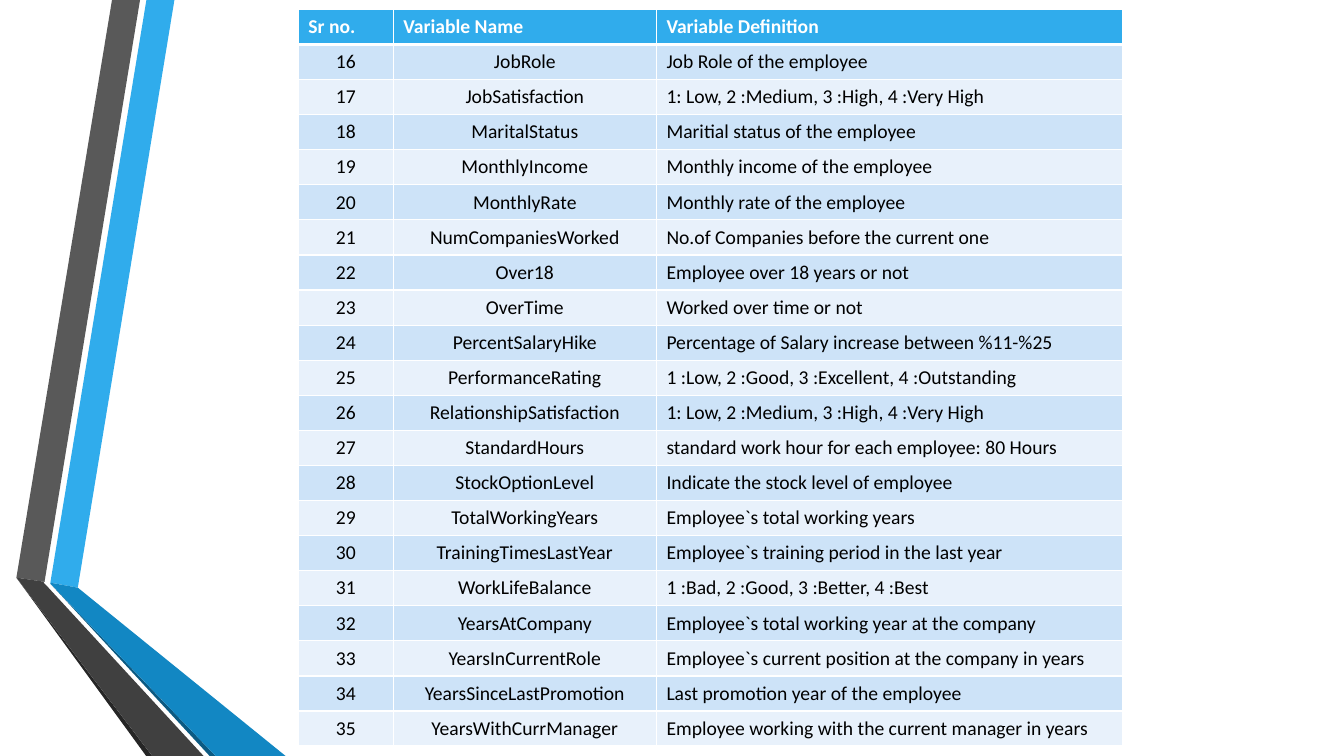
from dataclasses import dataclass

from lxml.etree import SubElement
from pptx import Presentation
from pptx.dml.color import RGBColor as Color
from pptx.enum.text import MSO_ANCHOR as Anchor, PP_ALIGN as Align
from pptx.oxml.ns import qn
from pptx.slide import Slide
from pptx.table import _Cell as Cell
from pptx.util import Pt


@dataclass(frozen=True)
class Theme:
    font: str = "Calibri"
    text_size: float = 14
    white: str = "FFFFFF"
    black: str = "000000"
    sky: str = "30ACEC"
    blue: str = "1287C3"
    navy: str = "0C5A82"
    grey: str = "595959"
    charcoal: str = "404040"
    coal: str = "262626"
    bands: tuple[str, str] = ("CDE3F8", "E8F1FB")
    rule: float = 1
    header_rule: float = 3


@dataclass(frozen=True)
class Ribbon:
    color: str
    points: tuple[tuple[float, float], ...]


@dataclass(frozen=True)
class Variable:
    name: str
    definition: str


@dataclass(frozen=True)
class CellStyle:
    fill: str
    color: str
    bold: bool
    align: Align
    anchor: Anchor
    top_rule: float
    bottom_rule: float


THEME = Theme()
PAGE_WIDTH, PAGE_HEIGHT = 960, 540
TABLE_LEFT, TABLE_TOP, TABLE_HEIGHT = 213.1, 6.7, 526.4
COLUMN_WIDTHS = (67.8, 188, 332.8)
HEADERS = ("Sr no.", "Variable Name", "Variable Definition")
FIRST_NUMBER = 16
RATING = "1: Low, 2 :Medium, 3 :High, 4 :Very High"

RIBBONS = (
    Ribbon(THEME.sky, ((36, 416.2), (55.6, 419.8), (124.6, 0), (104.6, 0))),
    Ribbon(THEME.grey, ((100, 0), (80, 0), (11.7, 412.6), (31.8, 415.6))),
    Ribbon(THEME.coal, ((11.7, 412.6), (104.4, PAGE_HEIGHT), (108.7, PAGE_HEIGHT))),
    Ribbon(THEME.navy, ((36, 416.9), (149.8, PAGE_HEIGHT), (154.1, PAGE_HEIGHT))),
    Ribbon(THEME.blue, ((36, 416.9), (154.1, PAGE_HEIGHT), (204, PAGE_HEIGHT),
                        (55.6, 419.8), (36, 416.2))),
    Ribbon(THEME.charcoal, ((145.4, PAGE_HEIGHT), (34.6, 419.8), (31, 416.2),
                            (31.8, 415.6), (11.7, 412.6), (108.7, PAGE_HEIGHT))),
)

VARIABLES = (
    Variable("JobRole", "Job Role of the employee"),
    Variable("JobSatisfaction", RATING),
    Variable("MaritalStatus", "Maritial status of the employee"),
    Variable("MonthlyIncome", "Monthly income of the employee"),
    Variable("MonthlyRate", "Monthly rate of the employee"),
    Variable("NumCompaniesWorked", "No.of Companies before the current one"),
    Variable("Over18", "Employee over 18 years or not"),
    Variable("OverTime", "Worked over time or not"),
    Variable("PercentSalaryHike", "Percentage of Salary increase between %11-%25"),
    Variable("PerformanceRating", "1 :Low, 2 :Good, 3 :Excellent, 4 :Outstanding"),
    Variable("RelationshipSatisfaction", RATING),
    Variable("StandardHours", "standard work hour for each employee: 80 Hours"),
    Variable("StockOptionLevel", "Indicate the stock level of employee"),
    Variable("TotalWorkingYears", "Employee`s total working years"),
    Variable("TrainingTimesLastYear", "Employee`s training period in the last year"),
    Variable("WorkLifeBalance", "1 :Bad, 2 :Good, 3 :Better, 4 :Best"),
    Variable("YearsAtCompany", "Employee`s total working year at the company"),
    Variable("YearsInCurrentRole", "Employee`s current position at the company in years"),
    Variable("YearsSinceLastPromotion", "Last promotion year of the employee"),
    Variable("YearsWithCurrManager", "Employee working with the current manager in years"),
)


def draw_ribbon(page: Slide, ribbon: Ribbon) -> None:
    start, *others = [(Pt(x), Pt(y)) for x, y in ribbon.points]
    builder = page.shapes.build_freeform(*start, scale=1.0)
    builder.add_line_segments(others, close=True)
    shape = builder.convert_to_shape()
    shape.shadow.inherit = False
    shape.fill.solid()
    shape.fill.fore_color.rgb = Color.from_string(ribbon.color)
    shape.line.fill.background()


def add_borders(cell: Cell, top: float, bottom: float) -> None:
    properties = cell._tc.get_or_add_tcPr()
    widths = {"a:lnL": THEME.rule, "a:lnR": THEME.rule, "a:lnT": top, "a:lnB": bottom}
    for tag, width in widths.items():
        line = SubElement(properties, qn(tag), w=str(Pt(width)))
        fill = SubElement(line, qn("a:solidFill"))
        SubElement(fill, qn("a:srgbClr"), val=THEME.white)


def write_cell(cell: Cell, text: str, style: CellStyle) -> None:
    add_borders(cell, style.top_rule, style.bottom_rule)
    cell.fill.solid()
    cell.fill.fore_color.rgb = Color.from_string(style.fill)
    cell.vertical_anchor = style.anchor
    para = cell.text_frame.paragraphs[0]
    para.alignment = style.align
    span = para.add_run()
    span.text = text
    span.font.name = THEME.font
    span.font.size = Pt(THEME.text_size)
    span.font.bold = style.bold
    span.font.color.rgb = Color.from_string(style.color)


def cell_style(row: int, column: int) -> CellStyle:
    if row == 0:
        return CellStyle(THEME.sky, THEME.white, True, Align.LEFT, Anchor.TOP,
                         THEME.rule, THEME.header_rule)
    return CellStyle(THEME.bands[(row - 1) % 2], THEME.black, False,
                     Align.LEFT if column == 2 else Align.CENTER, Anchor.MIDDLE,
                     THEME.header_rule if row == 1 else THEME.rule, THEME.rule)


def draw_variables(page: Slide) -> None:
    rows = [HEADERS] + [(str(number), variable.name, variable.definition)
                        for number, variable in enumerate(VARIABLES, FIRST_NUMBER)]
    table = page.shapes.add_table(
        len(rows), len(HEADERS), Pt(TABLE_LEFT), Pt(TABLE_TOP),
        Pt(sum(COLUMN_WIDTHS)), Pt(TABLE_HEIGHT)).table
    for column, width in zip(table.columns, COLUMN_WIDTHS):
        column.width = Pt(width)
    for row, texts in enumerate(rows):
        for column, text in enumerate(texts):
            write_cell(table.cell(row, column), text, cell_style(row, column))


def main() -> None:
    deck = Presentation()
    deck.slide_width, deck.slide_height = Pt(PAGE_WIDTH), Pt(PAGE_HEIGHT)
    page = deck.slides.add_slide(deck.slide_layouts[6])
    for ribbon in RIBBONS:
        draw_ribbon(page, ribbon)
    draw_variables(page)
    deck.save("out.pptx")


if __name__ == "__main__":
    main()
